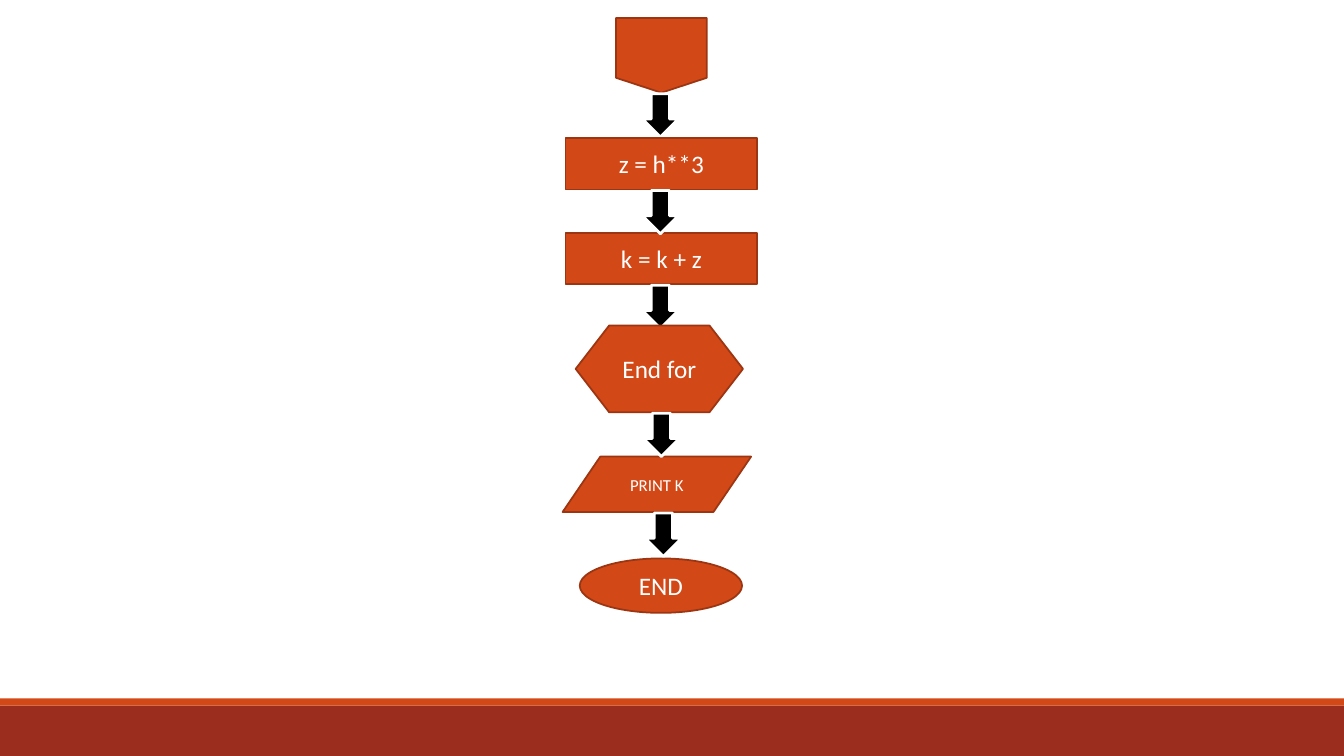
from pptx import Presentation
from pptx.dml.color import RGBColor as Rgb
from pptx.enum.shapes import MSO_SHAPE as Kind
from pptx.enum.text import MSO_ANCHOR as Anchor, PP_ALIGN as Align
from pptx.util import Inches, Pt

HUES = {"band": "9B2D1F", "node": "D34817", "edge": "9C3511",
        "arrow": "000000", "white": "FFFFFF"}
WIDE, HIGH = 133.33, 75


class Chart:
    """Draws flow chart parts on a grid of tenth-inch columns and rows."""

    def __init__(self, deck):
        self.font = "Calibri"
        self.cell = deck.slide_height / HIGH
        self.slide = deck.slides.add_slide(deck.slide_layouts[6])

    def shape(self, kind, left, top, width, height, fill, edge=None, weight=1.25):
        spot = [round(n * self.cell) for n in (left, top, width, height)]
        item = self.slide.shapes.add_shape(kind, *spot)
        item.shadow.inherit = False
        item.fill.solid()
        item.fill.fore_color.rgb = Rgb.from_string(HUES[fill])
        if edge:
            item.line.color.rgb = Rgb.from_string(HUES[edge])
            item.line.width = Pt(weight)
        else:
            item.line.fill.background()
        return item

    def band(self, top, height, fill):
        self.shape(Kind.RECTANGLE, 0, top, WIDE, height, fill)

    def node(self, kind, mid, top, width, height, text, size):
        item = self.shape(kind, mid - width / 2, top, width, height, "node", "edge")
        if text:
            self.label(item, text, size)

    def label(self, item, text, size):
        frame = item.text_frame
        frame.text = text
        frame.vertical_anchor = Anchor.MIDDLE
        line = frame.paragraphs[0]
        line.alignment = Align.CENTER
        font = line.runs[0].font
        font.name, font.size = self.font, Pt(size)
        font.color.rgb = Rgb.from_string(HUES["white"])

    def arrow(self, mid, top):
        self.shape(Kind.DOWN_ARROW, mid - 1.8, top, 3.6, 4.3, "arrow", "white", 2)


deck = Presentation()
deck.slide_width, deck.slide_height = Inches(13.33), Inches(7.5)
chart = Chart(deck)
chart.band(70, 5, "band")
chart.band(69.3, 0.7, "node")

STEPS = [
    (Kind.OVAL, 65.55, 55.4, 16.1, 5.4, "END", 18, None),
    (Kind.FLOWCHART_DATA, 65.15, 45.3, 18.7, 5.5, "PRINT K", 12, 65.8),
    (Kind.FLOWCHART_OFFPAGE_CONNECTOR, 65.6, 1.8, 9, 7.4, "", 18, 65.5),
    (Kind.RECTANGLE, 65.6, 23.1, 19, 5.1, "k = k + z", 18, 65.5),
    (Kind.FLOWCHART_PREPARATION, 65.4, 32.3, 16.6, 8.6, "End for", 18, 65.6),
    (Kind.RECTANGLE, 65.6, 13.7, 19, 5.1, "z = h**3", 18, 65.5),
]
for kind, mid, top, width, height, text, size, exit_mid in STEPS:
    chart.node(kind, mid, top, width, height, text, size)
    if exit_mid:
        chart.arrow(exit_mid, top + height + 0.1)

deck.save("out.pptx")
